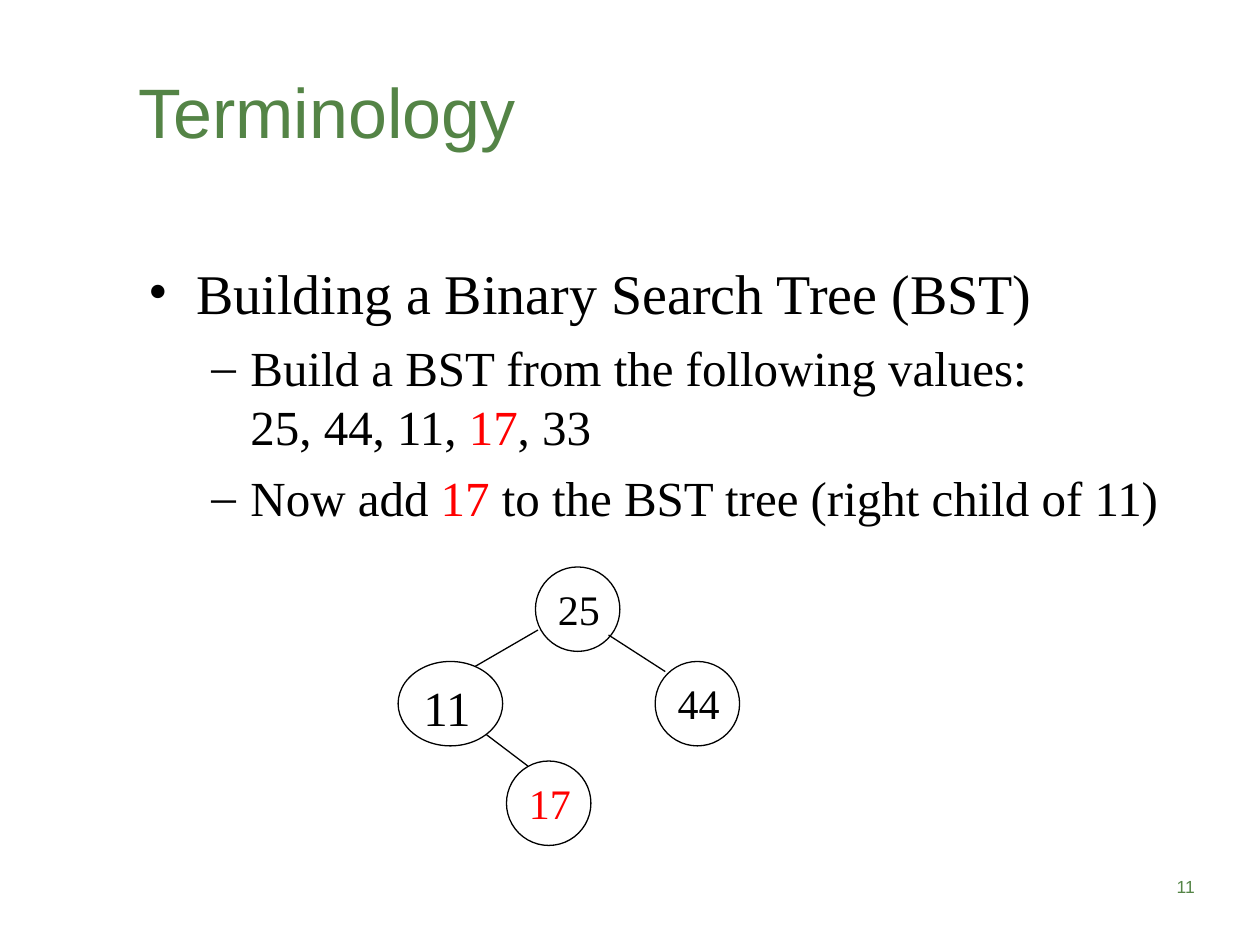
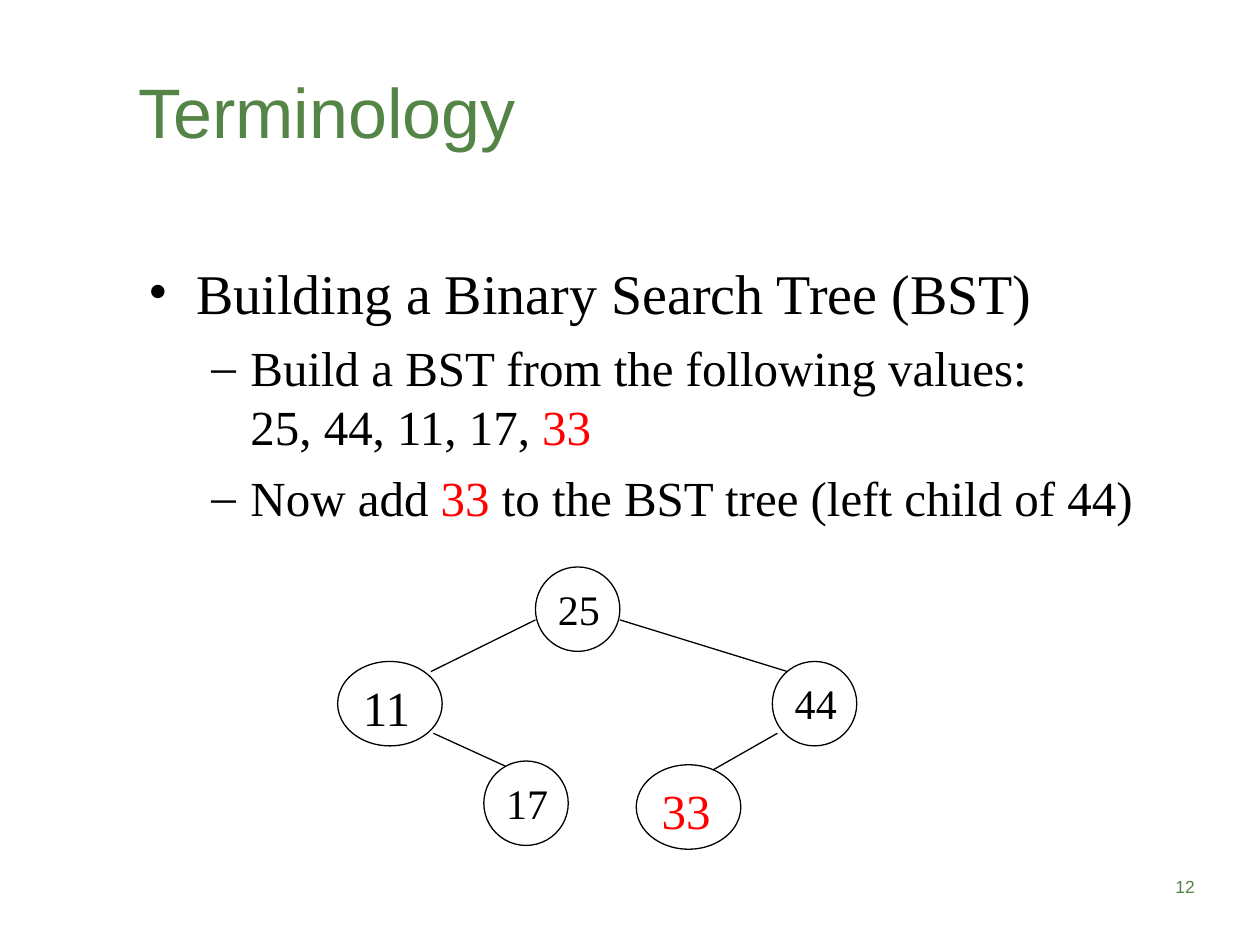
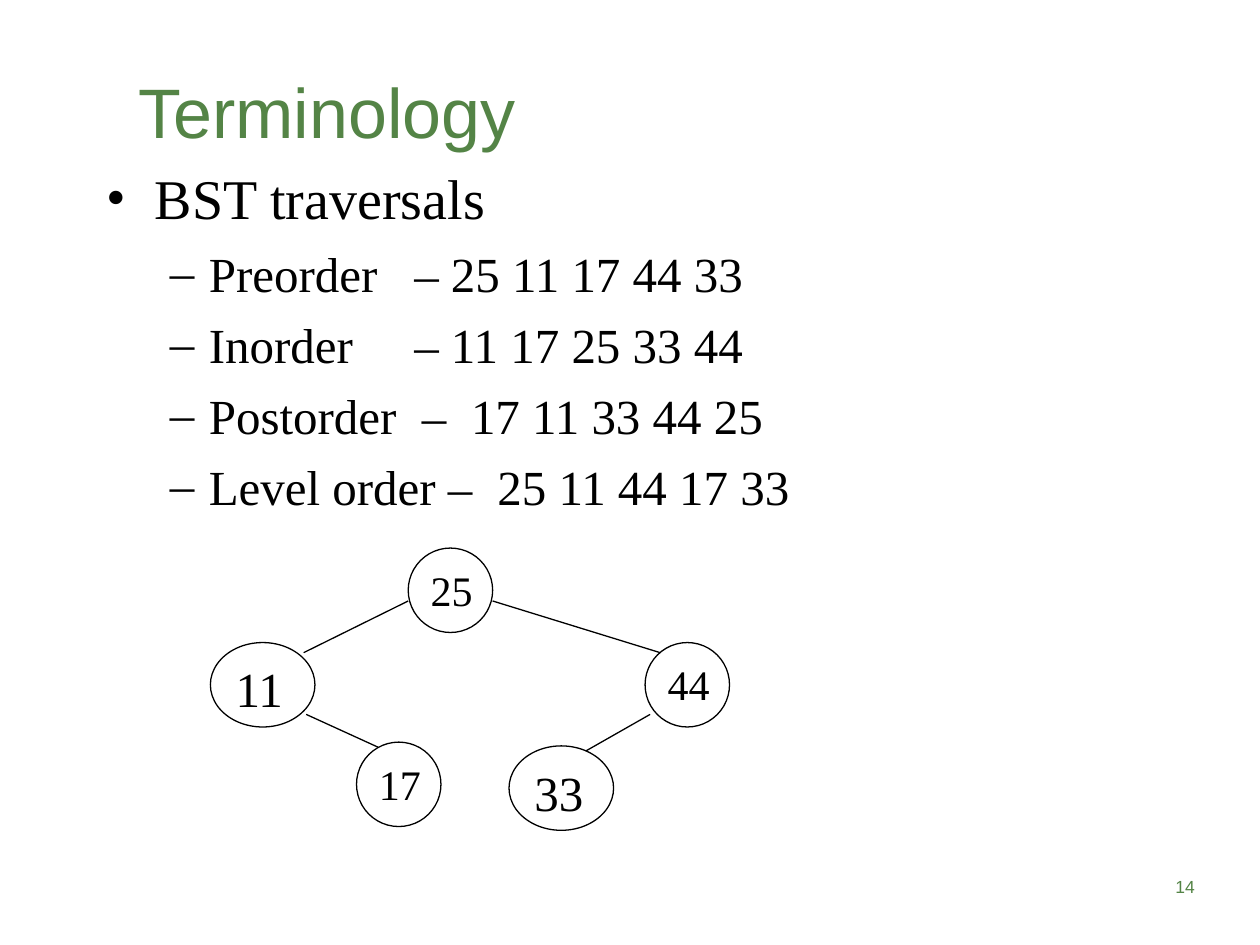
"""Build three slides on growing and traversing a binary search tree."""
from dataclasses import dataclass

from lxml.etree import SubElement
from pptx import Presentation
from pptx.dml.color import RGBColor as RGB
from pptx.enum.shapes import MSO_CONNECTOR as CONNECTOR, MSO_SHAPE as SHAPE
from pptx.enum.text import MSO_ANCHOR as ANCHOR, PP_ALIGN as ALIGN
from pptx.oxml.ns import qn
from pptx.util import Inches, Pt


@dataclass(frozen=True)
class Theme:
    green: RGB = RGB(0x54, 0x84, 0x46)
    black: RGB = RGB(0, 0, 0)
    red: RGB = RGB(0xFF, 0, 0)
    heading_font: str = "Arial"
    body_font: str = "Times New Roman"
    title_size: int = 40
    topic_size: int = 32
    point_size: int = 28
    node_size: int = 24
    number_size: int = 10
    line_width: float = 0.75


THEME = Theme()


def set_font(font, name, size, color):
    font.name = name
    font.size = Pt(size)
    font.color.rgb = color


def add_bullet(paragraph, mark, margin, hanging, tab_stops):
    props = paragraph._p.get_or_add_pPr()
    props.set("marL", str(Inches(margin)))
    props.set("indent", str(-Inches(hanging)))
    SubElement(props, qn("a:buFont"), typeface=THEME.body_font)
    SubElement(props, qn("a:buChar"), char=mark)
    if tab_stops:
        stops = SubElement(props, qn("a:tabLst"))
        for stop in tab_stops:
            SubElement(stops, qn("a:tab"), pos=str(Inches(stop)), algn="l")


WIDE_NODES = ("11", "33")
BUILDING = "Building a Binary Search Tree (BST)"
VALUES = "Build a BST from the following values:\n25, 44, 11, 17, 33"

SMALL_TREE = {
    "nodes": {"25": (4.25, 4.5), "44": (5.2, 5.25), "11": (3.16, 5.25), "17": (4.02, 6.04)},
    "edges": [(4.83, 5.04, 5.28, 5.33), (4.27, 5, 3.77, 5.29), (3.86, 5.83, 4.19, 6.08)],
}
FULL_TREE = {
    "nodes": {"25": (4.25, 4.5), "44": (6.13, 5.25), "11": (2.68, 5.25),
              "17": (3.84, 6.04), "33": (5.05, 6.07)},
    "edges": [(4.92, 4.92, 6.25, 5.33), (4.25, 4.92, 3.42, 5.33),
              (3.44, 5.82, 4.01, 6.08), (6.17, 5.82, 5.66, 6.11)],
}

LESSONS = [
    {"number": "11", "body_at": (1.08, 2), "topic": BUILDING, "added": "17",
     "points": [(VALUES, ()), ("Now add 17 to the BST tree (right child of 11)", ())],
     "tree": SMALL_TREE, "shift": (0, 0)},
    {"number": "12", "body_at": (1.08, 2), "topic": BUILDING, "added": "33",
     "points": [(VALUES, ()), ("Now add 33 to the BST tree (left child of 44)", ())],
     "tree": FULL_TREE, "shift": (0, 0)},
    {"number": "14", "body_at": (0.75, 1.25), "topic": "BST traversals", "added": None,
     "points": [("Preorder\t– 25 11 17 44 33", (2.44,)),
                ("Inorder\t– 11 17 25 33 44", (2.44,)),
                ("Postorder\t–\t17 11 33 44 25", (2.5, 2.89)),
                ("Level order –\t25 11 44 17 33", (3.1,))],
     "tree": FULL_TREE, "shift": (-1.01, -0.15)},
]

prs = Presentation()
prs.slide_width, prs.slide_height = Inches(10), Inches(7.5)

for lesson in LESSONS:
    slide = prs.slides.add_slide(prs.slide_layouts[5])

    title = slide.shapes.title
    title.left, title.top = Inches(1), Inches(0.25)
    title.width, title.height = Inches(8.5), Inches(1.25)
    title.text_frame.text = "Terminology"
    title.text_frame.vertical_anchor = ANCHOR.MIDDLE
    heading = title.text_frame.paragraphs[0]
    heading.alignment = ALIGN.LEFT
    set_font(heading.font, THEME.heading_font, THEME.title_size, THEME.green)

    left, top = lesson["body_at"]
    body = slide.shapes.add_textbox(Inches(left), Inches(top), Inches(8.5), Inches(4.42)).text_frame
    body.word_wrap = True
    topic = body.paragraphs[0]
    topic.text = lesson["topic"]
    add_bullet(topic, "•", 0.38, 0.38, ())
    set_font(topic.font, THEME.body_font, THEME.topic_size, THEME.black)

    for text, tab_stops in lesson["points"]:
        point = body.add_paragraph()
        point.level = 1
        point.space_before = Pt(7)
        add_bullet(point, "–", 0.81, 0.31, tab_stops)
        set_font(point.font, THEME.body_font, THEME.point_size, THEME.black)
        for row, line in enumerate(text.split("\n")):
            if row:
                point.add_line_break()
            pieces = line.partition(lesson["added"]) if lesson["added"] else [line]
            for piece in filter(None, pieces):
                run = point.add_run()
                run.text = piece
                if piece == lesson["added"]:
                    run.font.color.rgb = THEME.red

    dx, dy = lesson["shift"]
    for value, (x, y) in lesson["tree"]["nodes"].items():
        wide = value in WIDE_NODES
        node = slide.shapes.add_shape(SHAPE.OVAL, Inches(x + dx), Inches(y + dy),
                                      Inches(0.83 if wide else 0.67), Inches(0.67))
        node.shadow.inherit = False
        node.fill.background()
        node.line.color.rgb = THEME.black
        node.line.width = Pt(THEME.line_width)
        frame = node.text_frame
        frame.margin_left, frame.margin_top = Inches(0.08), Inches(0.03)
        frame.margin_right = frame.margin_bottom = 0
        frame.vertical_anchor = ANCHOR.TOP
        label = frame.paragraphs[0]
        label.text = value
        label.alignment = ALIGN.LEFT
        set_font(label.font, THEME.body_font, THEME.point_size if wide else THEME.node_size,
                 THEME.red if value == lesson["added"] else THEME.black)

    for x1, y1, x2, y2 in lesson["tree"]["edges"]:
        edge = slide.shapes.add_connector(CONNECTOR.STRAIGHT, Inches(x1 + dx), Inches(y1 + dy),
                                          Inches(x2 + dx), Inches(y2 + dy))
        edge.line.color.rgb = THEME.black
        edge.line.width = Pt(THEME.line_width)
        SubElement(edge._element.spPr, qn("a:effectLst"))

    footer = slide.shapes.add_textbox(Inches(7.5), Inches(6.67), Inches(2.08), Inches(0.5)).text_frame
    footer.word_wrap = True
    footer.vertical_anchor = ANCHOR.BOTTOM
    page = footer.paragraphs[0]
    page.text = lesson["number"]
    page.alignment = ALIGN.RIGHT
    set_font(page.font, THEME.heading_font, THEME.number_size, THEME.green)

prs.save("out.pptx")
